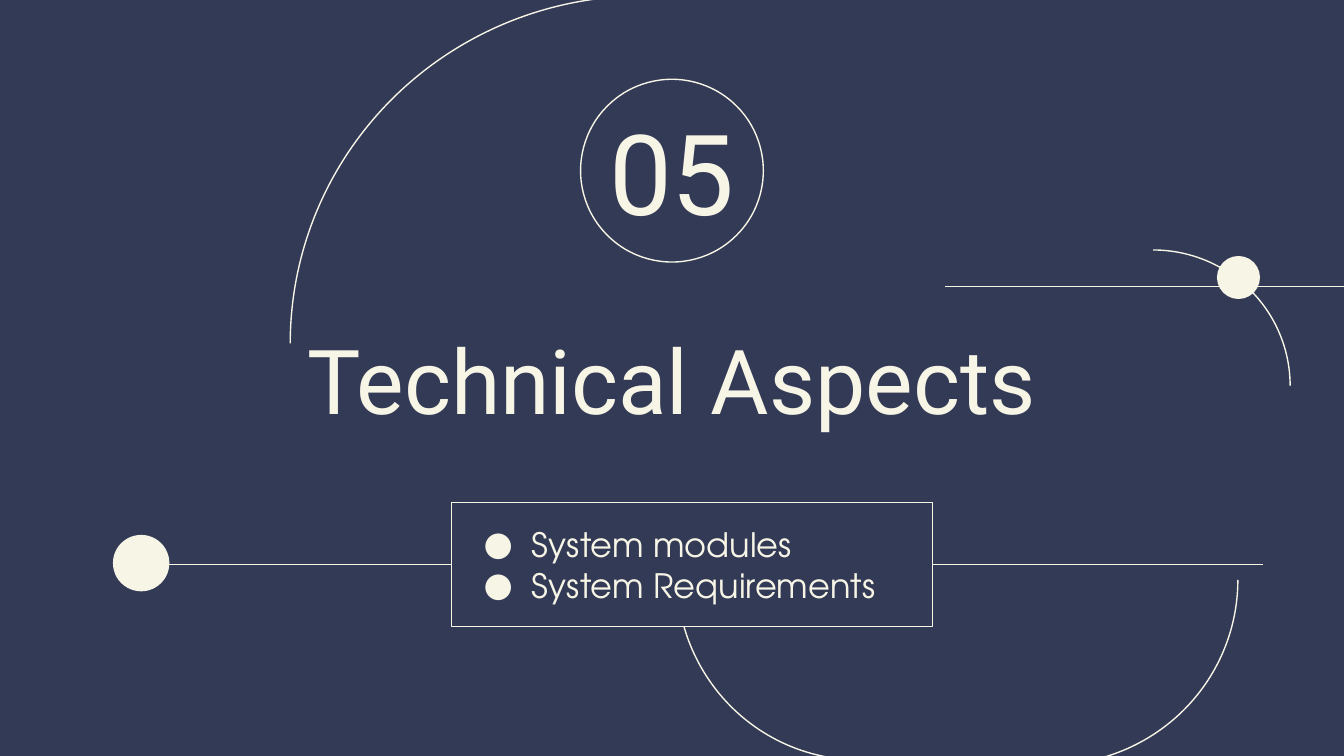
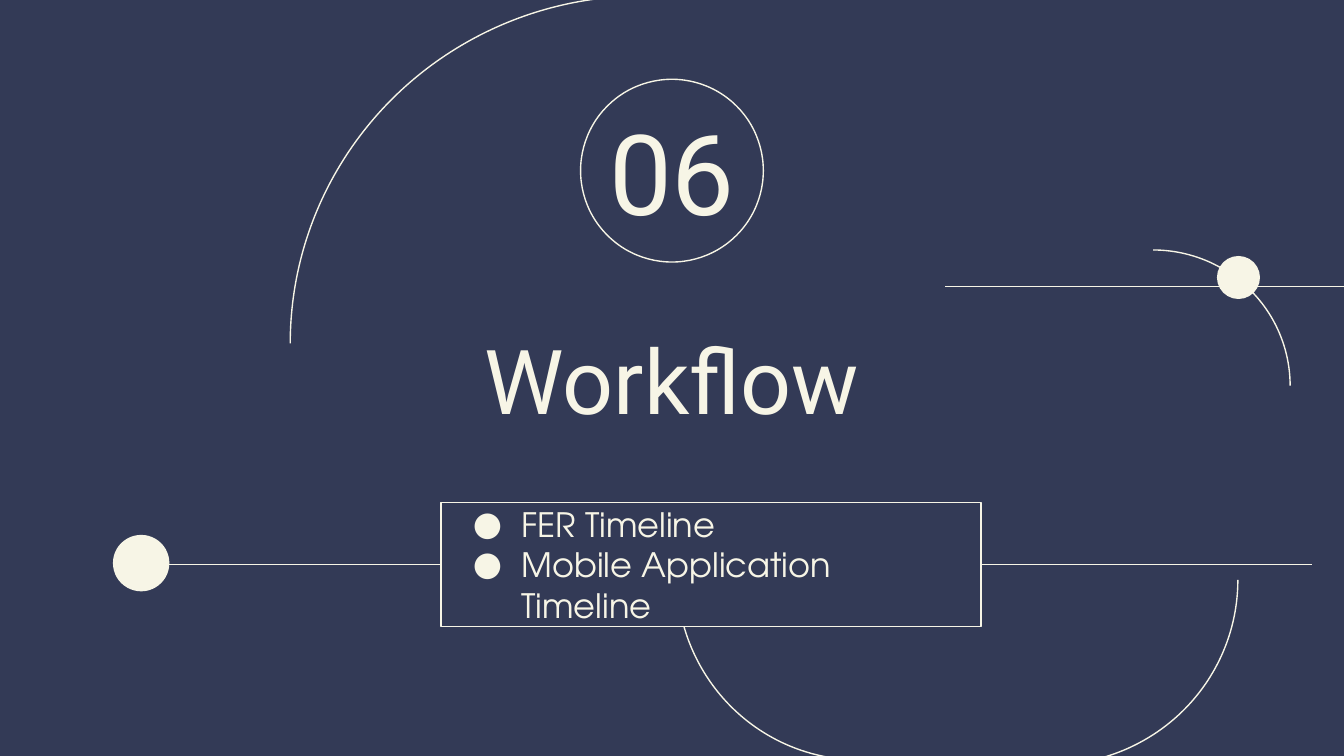
from dataclasses import dataclass

from pptx import Presentation
from pptx import util as u
from pptx.dml.color import RGBColor
from pptx.enum import shapes, text
from pptx.oxml import ns
from pptx.oxml.xmlchemy import OxmlElement


@dataclass(frozen=True)
class Theme:
    navy: str = "333A56"
    cream: str = "F7F5E6"
    title_font: str = "Roboto"
    body_font: str = "TeX Gyre Adventor"
    number_size: int = 60
    title_size: int = 48
    body_size: int = 18
    line_width: float = 0.75


@dataclass(frozen=True)
class Box:
    left: float
    top: float
    width: float
    height: float

    def inside(self, left, top, width, height):
        """Box placed relative to this one."""
        return Box(self.left + left, self.top + top, width, height)

    def lengths(self):
        return [u.Inches(n) for n in (self.left, self.top, self.width, self.height)]


THEME = Theme()
PAGE = Box(0, 0, 10, 10 * 9 / 16)
AXIS = 4.2  # height of the line through the topics
MARGIN = 0.1

# Box, rotation, mirrored, start angle
ARCS = [
    ((7.56, 1.86, 2.04, 2.02), 0, False, 162),
    ((2.16, -0.03, 5.24, 5.17), 0, True, 162),
    ((6.43, 2.94, 2.78, 2.75), 180, True, 162),
    ((5.02, 2.92, 2.75, 2.72), 270, True, 167.75),
]

# Number, title, topics, left and width of the topic box
SECTIONS = [
    ("05", "Technical Aspects", ["System modules", "System Requirements"], 3.36, 3.58),
    ("06", "Workflow", ["FER Timeline", "Mobile Application Timeline"], 3.28, 4.02),
]


def color(value):
    return RGBColor.from_string(value)


def set_values(target, values):
    for name, value in values.items():
        setattr(target, name, value)


def style_line(line):
    line.color.rgb = color(THEME.cream)
    line.width = u.Pt(THEME.line_width)


def add_figure(slide, kind, box, fill=None, outlined=True):
    shape = slide.shapes.add_shape(kind, *box.lengths())
    shape.shadow.inherit = False
    if fill:
        shape.fill.solid()
        shape.fill.fore_color.rgb = color(fill)
    else:
        shape.fill.background()
    if outlined:
        style_line(shape.line)
    else:
        shape.line.fill.background()
    return shape


def add_line(slide, start, end):
    points = [u.Inches(n) for n in (*start, *end)]
    line = slide.shapes.add_connector(shapes.MSO_CONNECTOR.STRAIGHT, *points)
    style_line(line.line)
    line._element.spPr.append(OxmlElement("a:effectLst"))
    return line


def add_bullet(paragraph):
    properties = paragraph._p.get_or_add_pPr()
    properties.set("marL", str(u.Inches(0.5)))
    properties.set("indent", str(u.Inches(-0.36)))
    bullet_color = OxmlElement("a:buClr")
    rgb = OxmlElement("a:srgbClr")
    rgb.set("val", THEME.cream)
    bullet_color.append(rgb)
    bullet_font = OxmlElement("a:buFont")
    bullet_font.set("typeface", THEME.title_font)
    bullet = OxmlElement("a:buChar")
    bullet.set("char", "●")
    for element in (bullet_color, bullet_font, bullet):
        properties.append(element)


def write(shape, lines, font, size, align, bulleted=False):
    frame = shape.text_frame
    margins = {f"margin_{side}": u.Inches(MARGIN)
               for side in ("left", "top", "right", "bottom")}
    set_values(frame, {"word_wrap": True,
                       "vertical_anchor": text.MSO_ANCHOR.MIDDLE, **margins})
    for index, line in enumerate(lines):
        paragraph = frame.add_paragraph() if index else frame.paragraphs[0]
        paragraph.alignment = align
        if bulleted:
            add_bullet(paragraph)
        run = paragraph.add_run()
        run.text = line
        set_values(run.font, {"name": font, "size": u.Pt(size)})
        run.font.color.rgb = color(THEME.cream)


def add_heading(slide, box, words, size):
    shape = slide.shapes.add_textbox(*box.lengths())
    write(shape, [words], THEME.title_font, size, text.PP_ALIGN.CENTER)


def draw_backdrop(slide, box):
    """Background, quarter arcs and the line that runs off the right edge."""
    slide.background.fill.solid()
    slide.background.fill.fore_color.rgb = color(THEME.navy)
    for place, rotation, mirrored, start in ARCS:
        arc = add_figure(slide, shapes.MSO_SHAPE.ARC, box.inside(*place))
        arc.rotation = rotation
        arc.adjustments[0] = start
        if mirrored:
            arc._element.spPr.find(ns.qn("a:xfrm")).set("flipH", "1")
    y = box.top + 2.13
    add_line(slide, (box.left + 11.4, y), (box.left + 7.03, y))


def draw_topics(slide, box, topics):
    """Bulleted panel with a line joined to each side."""
    panel = add_figure(slide, shapes.MSO_SHAPE.RECTANGLE, box, fill=THEME.navy)
    write(panel, topics, THEME.body_font, THEME.body_size,
          text.PP_ALIGN.LEFT, bulleted=True)
    right = box.left + box.width
    add_line(slide, (0.85, AXIS), (box.left, AXIS)).end_connect(panel, 1)
    add_line(slide, (right, AXIS), (right + 2.46, AXIS)).begin_connect(panel, 3)


def draw_dots(slide, box):
    """Solid dots on the left line and on the right arc."""
    oval = shapes.MSO_SHAPE.OVAL
    add_figure(slide, oval, box.inside(0.84, 3.98, 0.42, 0.42),
               fill=THEME.cream, outlined=False)
    add_figure(slide, oval, box.inside(9.06, 1.91, 0.31, 0.31), fill=THEME.cream)


def draw_number(slide, box, number):
    """Section number in a ring."""
    add_figure(slide, shapes.MSO_SHAPE.OVAL, box)
    add_heading(slide, box.inside(0, 0.22, box.width, 0.92), number, THEME.number_size)


def draw_section(slide, box, number, title, topics, left, width):
    draw_backdrop(slide, box)
    add_heading(slide, box.inside(1.72, 2.22, 6.56, 1.2), title, THEME.title_size)
    draw_topics(slide, box.inside(left, AXIS - 0.46, width, 0.92), topics)
    draw_dots(slide, box)
    draw_number(slide, box.inside(4.32, 0.59, 1.36, 1.36), number)


def main():
    presentation = Presentation()
    set_values(presentation, {"slide_width": u.Inches(PAGE.width),
                              "slide_height": u.Inches(PAGE.height)})
    for section in SECTIONS:
        slide = presentation.slides.add_slide(presentation.slide_layouts[6])
        draw_section(slide, PAGE, *section)
    presentation.save("out.pptx")


if __name__ == "__main__":
    main()
